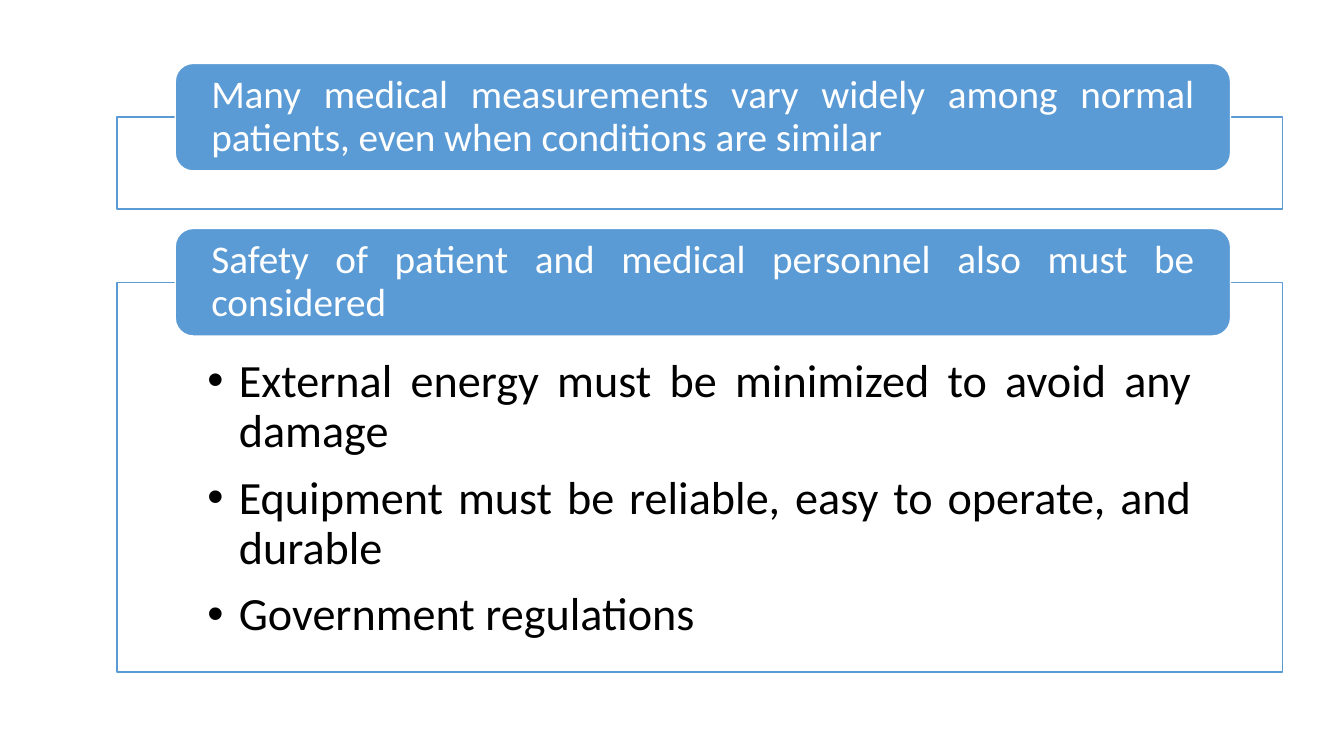
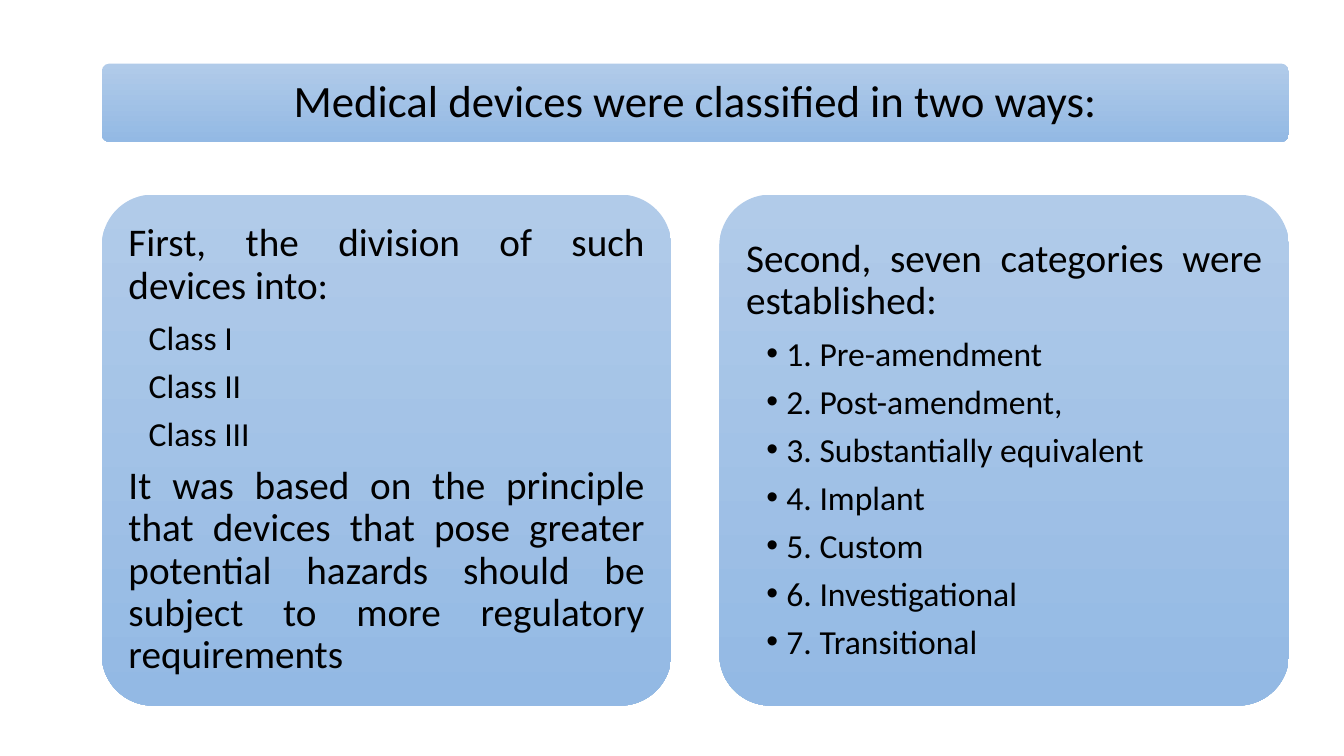
from lxml import etree
from pptx import Presentation
from pptx.dml.color import RGBColor
from pptx.enum.shapes import MSO_SHAPE as SHAPE
from pptx.enum.text import MSO_ANCHOR as ANCHOR, MSO_AUTO_SIZE as AUTO, PP_ALIGN as ALIGN
from pptx.oxml.ns import qn
from pptx.util import Pt

# Shared look
FONT = "Calibri"
WHITE = RGBColor(0xFF, 0xFF, 0xFF)
BLACK = RGBColor(0, 0, 0)
BLUE = RGBColor(0x5B, 0x9B, 0xD5)
PALE_TOP = RGBColor(0xB1, 0xCB, 0xE9)
PALE_BOTTOM = RGBColor(0x93, 0xB9, 0xE4)


def add_box(s, kind, x, y, w, h, fill=None, line=None):
    """Add a shape with a solid fill, or the pale gradient if none is given."""
    sp = s.shapes.add_shape(kind, Pt(x), Pt(y), Pt(w), Pt(h))
    sp.shadow.inherit = False
    if fill is None:
        sp.fill.gradient()
        sp.fill.gradient_angle = 270
        for stop, color in zip(sp.fill.gradient_stops, (PALE_TOP, PALE_BOTTOM)):
            stop.color.rgb = color
            stop.position = 0 if color == PALE_TOP else 1
    else:
        sp.fill.solid()
        sp.fill.fore_color.rgb = fill
    if line is None:
        sp.line.fill.background()
    else:
        sp.line.color.rgb = line
        sp.line.width = Pt(1)
    return sp


def write(sp, paragraphs, insets, color=BLACK, anchor=ANCHOR.MIDDLE, align=ALIGN.JUSTIFY):
    """Fill a shape with (text, size, space after, left margin, bullet hang) rows."""
    tf = sp.text_frame
    frame = {"word_wrap": True, "auto_size": AUTO.NONE, "vertical_anchor": anchor}
    sides = ("margin_left", "margin_top", "margin_right", "margin_bottom")
    frame.update(zip(sides, map(Pt, insets)))
    for name, value in frame.items():
        setattr(tf, name, value)
    for i, (text, size, after, left, hang) in enumerate(paragraphs):
        p = tf.add_paragraph() if i else tf.paragraphs[0]
        pPr = p._p.get_or_add_pPr()
        pPr.set("marL", str(Pt(left)))
        pPr.set("indent", str(Pt(-hang)))
        if hang:
            etree.SubElement(pPr, qn("a:buFont")).set("typeface", "Arial")
            etree.SubElement(pPr, qn("a:buChar")).set("char", "•")
        layout = {"alignment": align, "line_spacing": 0.9,
                  "space_before": Pt(0), "space_after": Pt(after)}
        for name, value in layout.items():
            setattr(p, name, value)
        r = p.add_run()
        r.text = text
        for name, value in {"name": FONT, "size": Pt(size)}.items():
            setattr(r.font, name, value)
        r.font.color.rgb = color


prs = Presentation()
prs.slide_width, prs.slide_height = Pt(960), Pt(540)
TITLE_ONLY, BLANK = prs.slide_layouts[5], prs.slide_layouts[6]

# Slide 1: framed sections, each header centred on the top edge of its frame
s = prs.slides.add_slide(BLANK)
HEADER_H = 76.8
sections = [
    (83.7, 65.5,
     "Many medical measurements vary widely among normal patients, even when conditions are similar",
     []),
    (201.6, 278.5,
     "Safety of patient and medical personnel also must be considered",
     ["External energy must be minimized to avoid any damage",
      "Equipment must be reliable, easy to operate, and durable",
      "Government regulations"]),
]
for top, height, heading, points in sections:
    frame = add_box(s, SHAPE.RECTANGLE, 83.5, top, 832.5, height, WHITE, BLUE)
    if points:
        write(frame, [(point, 33, 12, 22.5, 22.5) for point in points],
              (64.6, 54, 64.6, 18.7), anchor=ANCHOR.TOP)
    header = add_box(s, SHAPE.ROUNDED_RECTANGLE, 125.2, top - HEADER_H / 2,
                     753.8, HEADER_H, BLUE, WHITE)
    write(header, [(heading, 28, 9.8, 0, 0)], (22, 0, 22, 0), WHITE)

# Slide 2: title on a band
s = prs.slides.add_slide(TITLE_ONLY)
LEFT, WIDTH, PANEL_W = 72.7, 848, 406.8
band = add_box(s, SHAPE.ROUNDED_RECTANGLE, LEFT, 45.4, WIDTH, 56)
band.adjustments[0] = 0.1
title = s.shapes.title
title.left, title.top, title.width, title.height = band.left, band.top, band.width, band.height
write(title, [("Medical devices were classified in two ways:", 32, 11.2, 0, 0)],
      (10, 9, 10, 9), align=ALIGN.CENTER)
s.shapes.element.append(title.element)  # bring the title in front of its band

# Slide 2: two panels, aligned with the ends of the band
classes = ["Class I", "Class II", "Class III"]
categories = ["Pre-amendment", "Post-amendment,", "Substantially equivalent",
              "Implant", "Custom", "Investigational", "Transitional"]
panels = [
    [("First, the division of such devices into:", 28, 9.8, 0, 0)]
    + [(name, 24, 8.4, 14.4, 0) for name in classes]
    + [("It was based on the principle that devices that pose greater potential hazards "
        "should be subject to more regulatory requirements", 28, 9.8, 0, 0)],
    [("Second, seven categories were established:", 28, 9.8, 0, 0)]
    + [(f"{n}. {name}", 24, 8.4, 28.8, 14.4) for n, name in enumerate(categories, 1)],
]
for i, paragraphs in enumerate(panels):
    panel = add_box(s, SHAPE.ROUNDED_RECTANGLE, LEFT + i * (WIDTH - PANEL_W), 139, PANEL_W, 365)
    panel.adjustments[0] = 0.1
    write(panel, paragraphs, (8.4,) * 4)

prs.save("out.pptx")
